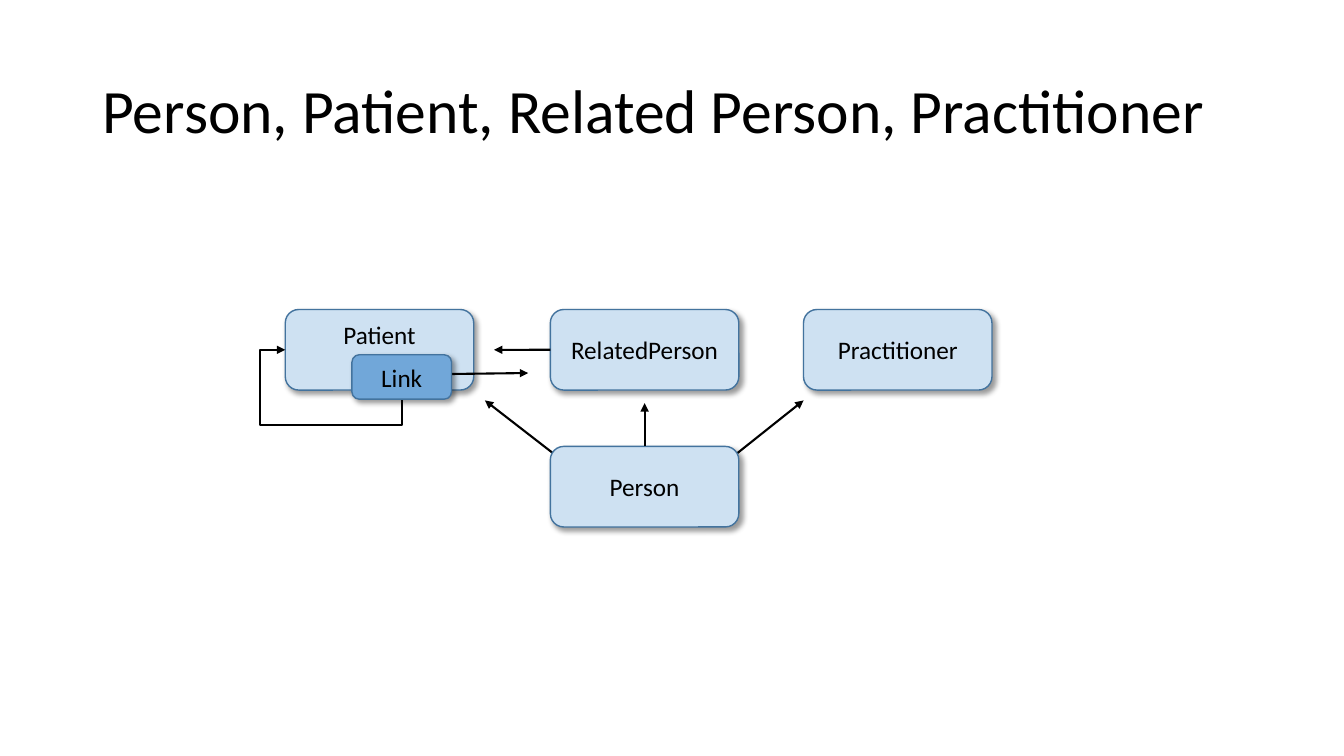
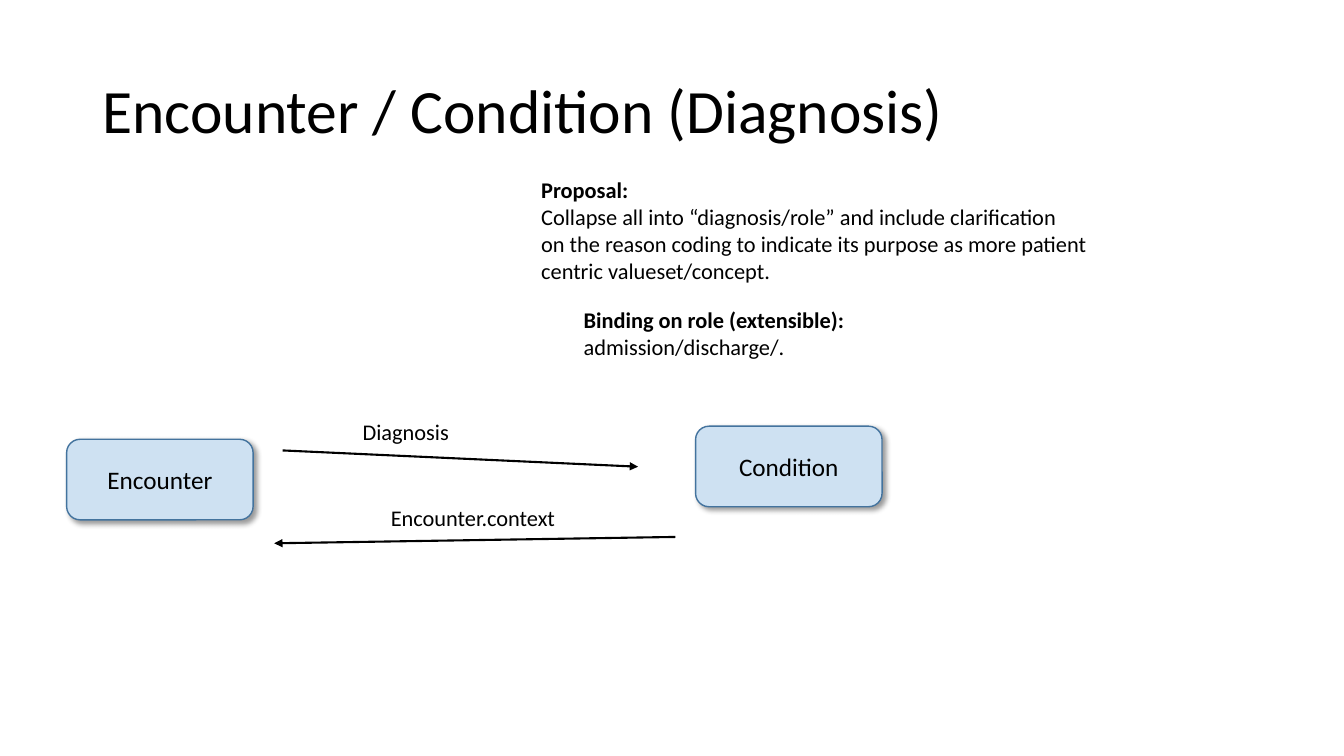
from dataclasses import dataclass

from lxml import etree
from pptx import Presentation
from pptx.dml.color import RGBColor
from pptx.enum.shapes import MSO_CONNECTOR, MSO_SHAPE
from pptx.enum.text import MSO_ANCHOR, MSO_AUTO_SIZE, PP_ALIGN
from pptx.oxml.ns import qn
from pptx.util import Cm, Pt

ROUNDED = MSO_SHAPE.ROUNDED_RECTANGLE
STRAIGHT, ELBOW = MSO_CONNECTOR.STRAIGHT, MSO_CONNECTOR.ELBOW
MIDDLE = MSO_ANCHOR.MIDDLE
FIT_SHAPE = MSO_AUTO_SIZE.SHAPE_TO_FIT_TEXT
CENTER = PP_ALIGN.CENTER
TOP, LEFT = 0, 1  # connection sites


@dataclass(frozen=True)
class Theme:
    font: str = "Calibri"
    ink: RGBColor = RGBColor(0x00, 0x00, 0x00)
    pale: RGBColor = RGBColor(0xCE, 0xE1, 0xF2)
    strong: RGBColor = RGBColor(0x71, 0xA7, 0xD9)
    outline: RGBColor = RGBColor(0x43, 0x73, 0x9E)
    title: Pt = Pt(44)
    box: Pt = Pt(18)
    note: Pt = Pt(16)
    border: Pt = Pt(1)
    arrow: Pt = Pt(1.5)


THEME = Theme()
BOX_H = 2.03


def style(p, size, bold=False):
    p.font.name, p.font.size, p.font.bold = THEME.font, size, bold
    p.font.color.rgb = THEME.ink


def add_node(slide, text, x, y, w, h=BOX_H, fill=THEME.pale):
    """Rounded box with a soft shadow; lengths in cm."""
    sp = slide.shapes.add_shape(ROUNDED, Cm(x), Cm(y), Cm(w), Cm(h))
    sp.fill.solid()
    sp.fill.fore_color.rgb = fill
    sp.line.color.rgb = THEME.outline
    sp.line.width = THEME.border
    sp.shadow.inherit = False
    effects = sp.element.spPr.find(qn("a:effectLst"))
    shadow = etree.SubElement(
        effects, qn("a:outerShdw"), blurRad=str(Pt(4)), dist=str(Pt(3)),
        dir="2700000", algn="tl", rotWithShape="0")
    color = etree.SubElement(shadow, qn("a:srgbClr"), val="000000")
    etree.SubElement(color, qn("a:alpha"), val="40000")
    tf = sp.text_frame
    tf.word_wrap = True
    tf.vertical_anchor = MIDDLE
    p = tf.paragraphs[0]
    p.text, p.alignment = text, CENTER
    style(p, THEME.box)
    return sp


def add_arrow(slide, x1, y1, x2, y2, kind=STRAIGHT):
    line = slide.shapes.add_connector(kind, Cm(x1), Cm(y1), Cm(x2), Cm(y2))
    line.line.color.rgb = THEME.ink
    line.line.width = THEME.arrow
    sp_pr = line.element.spPr
    etree.SubElement(sp_pr.find(qn("a:ln")), qn("a:tailEnd"), type="triangle")
    etree.SubElement(sp_pr, qn("a:effectLst"))
    return line


def add_loop_arrow(slide, x1, y1, x2, y2, reach):
    """Arrow that drops from (x1, y1), runs left and enters (x2, y2)."""
    rise, run = y1 - y2, x1 - x2
    mid_x, mid_y = (x1 + x2) / 2, (y1 + y2) / 2
    # The unrotated frame swaps the two extents
    line = add_arrow(slide, mid_x + rise / 2, mid_y - run / 2,
                     mid_x - rise / 2, mid_y + run / 2, ELBOW)
    sp_pr = line.element.spPr
    sp_pr.find(qn("a:xfrm")).set("rot", "5400000")
    geom = sp_pr.find(qn("a:prstGeom"))
    geom.set("prst", "bentConnector4")
    guides = geom.find(qn("a:avLst"))
    for name, ratio in (("adj1", -reach / rise), ("adj2", 1 + reach / run)):
        etree.SubElement(guides, qn("a:gd"), name=name,
                         fmla=f"val {round(ratio * 100000)}")


def add_note(slide, x, y, w, h, text, heading=None):
    tb = slide.shapes.add_textbox(Cm(x), Cm(y), Cm(w), Cm(h))
    tf = tb.text_frame
    tf.word_wrap = False
    tf.auto_size = FIT_SHAPE
    p = tf.paragraphs[0]
    if heading:
        p.text = heading
        style(p, THEME.note, bold=True)
        p = tf.add_paragraph()
    p.text = text
    style(p, THEME.note)


def add_titled_slide(prs, title):
    slide = prs.slides.add_slide(prs.slide_layouts[6])
    tb = slide.shapes.add_textbox(Cm(2.33), Cm(1.01), Cm(29.21), Cm(3.68))
    tf = tb.text_frame
    tf.word_wrap = True
    tf.vertical_anchor = MIDDLE
    p = tf.paragraphs[0]
    p.text, p.line_spacing = title, 0.9
    style(p, THEME.title)
    return slide


def draw_person_links(slide, x, y):
    """Resource diagram; (x, y) is the top left of Patient."""
    w, mid = 4.75, y + BOX_H / 2
    related_x, practitioner_x, person_y = x + 6.68, x + 13.06, y + 3.45
    link_x, link_y, link_w, link_h = x + 1.68, y + 1.14, 2.51, 1.12

    patient = add_node(slide, "Patient", x, y, w)
    patient.text_frame.margin_bottom = Cm(0.9)  # leaves room for Link

    # Arrows that start behind the boxes
    add_arrow(slide, x + 7.16, y + 3.94, x + 5.03, y + 2.29)
    add_arrow(slide, x + 11.05, y + 3.89, practitioner_x, y + 2.29)
    add_arrow(slide, x + 3.71, y + 1.63, x + 6.12, y + 1.6)
    add_loop_arrow(slide, link_x + link_w / 2, link_y + link_h, x, mid, 0.64)

    # Boxes
    person = add_node(slide, "Person", related_x, person_y, w)
    add_node(slide, "Practitioner", practitioner_x, y, w)
    related = add_node(slide, "RelatedPerson", related_x, y, w)
    add_node(slide, "Link", link_x, link_y, link_w, link_h, THEME.strong)

    # Arrows joined to their boxes
    center = related_x + w / 2
    add_arrow(slide, center, person_y, center, y + 2.36).begin_connect(person, TOP)
    add_arrow(slide, related_x, mid, x + 5.26, mid).begin_connect(related, LEFT)


def draw_encounter_links(slide, x, y):
    """Two resources and the references between them."""
    w = 4.7
    add_node(slide, "Encounter", x, y + 0.66, w)
    add_node(slide, "Condition", x + 15.98 - 0.13, y + 0.33, w)
    add_arrow(slide, x + 5.44, y + 0.94, x + 14.4, y + 1.35)
    add_arrow(slide, x + 15.34, y + 3.12, x + 5.23, y + 3.28)
    add_note(slide, x + 7.21, y, 2.72, 0.94, "Diagnosis")
    add_note(slide, x + 7.92, y + 2.18, 4.7, 0.94, "Encounter.context")


def draw_proposal(slide, x, y):
    add_note(slide, x, y, 14.43, 3,
             "Collapse all into “diagnosis/role” and include clarification\v"
             "on the reason coding to indicate its purpose as more patient\v"
             "centric valueset/concept.", "Proposal:")
    add_note(slide, x + 1.07, y + 3.28, 7.29, 1.63,
             "admission/discharge/.", "Binding on role (extensible):")


def main():
    prs = Presentation()
    prs.slide_width, prs.slide_height = Cm(33.87), Cm(19.05)

    slide = add_titled_slide(prs, "Person, Patient, Related Person, Practitioner")
    draw_person_links(slide, 7.19, 7.8)

    slide = add_titled_slide(prs, "Encounter / Condition (Diagnosis)")
    draw_encounter_links(slide, 1.68, 10.41)
    draw_proposal(slide, 13.39, 4.32)

    prs.save("out.pptx")


if __name__ == "__main__":
    main()
